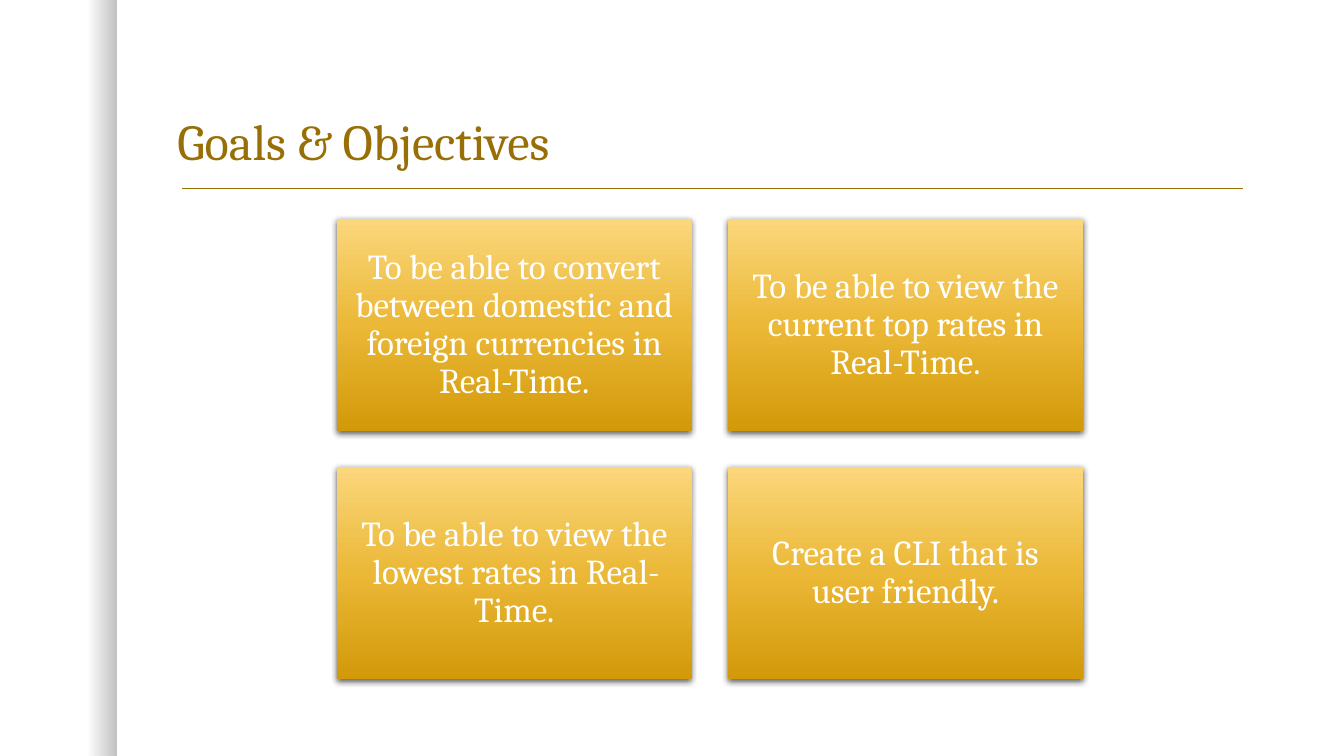
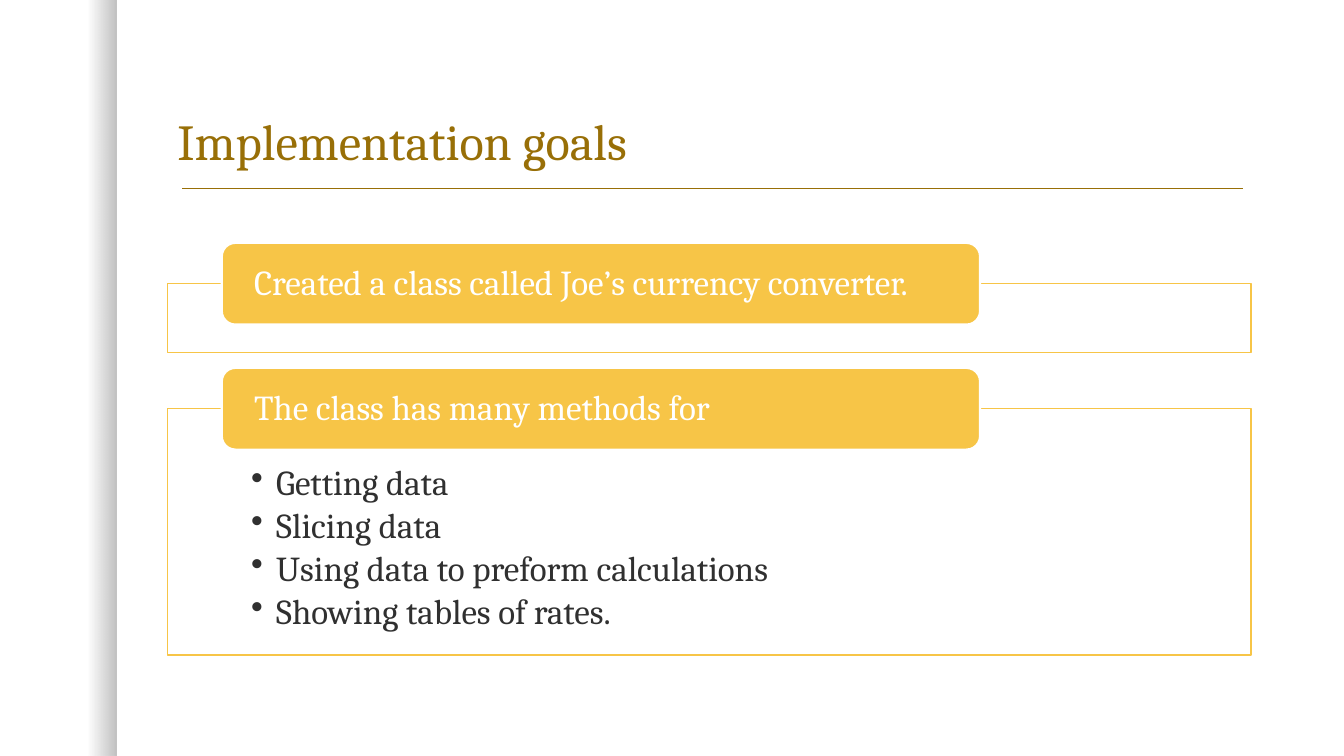
from dataclasses import dataclass

from lxml import etree
from pptx import Presentation
from pptx.dml.color import RGBColor
from pptx.enum.shapes import MSO_CONNECTOR, MSO_SHAPE
from pptx.enum.text import MSO_ANCHOR, MSO_AUTO_SIZE, PP_ALIGN
from pptx.oxml.ns import qn
from pptx.shapes.autoshape import Shape
from pptx.slide import Slide
from pptx.util import Inches, Pt

RECT, ROUND_RECT = MSO_SHAPE.RECTANGLE, MSO_SHAPE.ROUNDED_RECTANGLE
LEFT, CENTER = PP_ALIGN.LEFT, PP_ALIGN.CENTER
TOP, MIDDLE, BOTTOM = MSO_ANCHOR.TOP, MSO_ANCHOR.MIDDLE, MSO_ANCHOR.BOTTOM

COLORS = {
    "title": "986F07",
    "gold": "F7C547",
    "gold_light": "FBD77C",
    "gold_mid": "EBB837",
    "gold_dark": "D29909",
    "white": "FFFFFF",
    "black": "000000",
    "body": "303030",
}
FONT = "Cambria"
SLIDE_W, SLIDE_H = 13.33, 7.5
CONTENT_LEFT, CONTENT_W = 1.66, 10.75


@dataclass(frozen=True)
class Box:
    left: float
    top: float
    width: float
    height: float

    def emu(self) -> tuple[int, int, int, int]:
        return (Inches(self.left), Inches(self.top),
                Inches(self.width), Inches(self.height))


@dataclass(frozen=True)
class Stop:
    position: int
    color: str
    opacity: int = 100


@dataclass(frozen=True)
class Topic:
    heading: str
    top: float
    height: float
    points: tuple[str, ...] = ()


BAND_STOPS = (Stop(75, "black", 0), Stop(100, "black", 25))
CARD_STOPS = (Stop(0, "gold_light"), Stop(50, "gold_mid"), Stop(100, "gold_dark"))

GOALS = (
    "To be able to convert between domestic and foreign currencies in Real-Time.",
    "To be able to view the current top rates in Real-Time.",
    "To be able to view the lowest rates in Real-Time.",
    "Create a CLI that is user friendly.",
)
TOPICS = (
    Topic("Created a class called Joe’s currency converter.", 2.81, 0.69),
    Topic("The class has many methods for", 4.05, 2.45,
          ("Getting data", "Slicing data", "Using data to preform calculations",
           "Showing tables of rates.")),
)


def rgb(color: str) -> RGBColor:
    return RGBColor.from_string(COLORS[color])


def set_opacity(color_element, percent: int) -> None:
    etree.SubElement(color_element, qn("a:alpha"), val=str(percent * 1000))


def add_color(parent, color: str, opacity: int):
    element = etree.SubElement(parent, qn("a:srgbClr"), val=COLORS[color])
    if opacity < 100:
        set_opacity(element, opacity)


def add_box(slide: Slide, box: Box, kind=RECT, fill: str | None = None,
            line: str | None = None, line_width: float = 1) -> Shape:
    shape = slide.shapes.add_shape(kind, *box.emu())
    if fill:
        shape.fill.solid()
        shape.fill.fore_color.rgb = rgb(fill)
    else:
        shape.fill.background()
    if line:
        shape.line.color.rgb = rgb(line)
        shape.line.width = Pt(line_width)
    else:
        shape.line.fill.background()
    shape.shadow.inherit = False
    return shape


def fill_gradient(shape: Shape, stops: tuple[Stop, ...], angle: int) -> None:
    """Swap the empty fill of a shape for a linear gradient."""
    properties = shape.element.spPr
    gradient = etree.Element(qn("a:gradFill"), rotWithShape="1")
    stop_list = etree.SubElement(gradient, qn("a:gsLst"))
    for stop in stops:
        element = etree.SubElement(stop_list, qn("a:gs"), pos=str(stop.position * 1000))
        add_color(element, stop.color, stop.opacity)
    etree.SubElement(gradient, qn("a:lin"), ang=str(angle * 60000), scaled="0")
    properties.replace(properties.find(qn("a:noFill")), gradient)


def add_shadow(shape: Shape) -> None:
    effects = shape.element.spPr.find(qn("a:effectLst"))
    shadow = etree.SubElement(
        effects, qn("a:outerShdw"), blurRad=str(Pt(4.5)), dist=str(Pt(1.5)),
        dir=str(90 * 60000), algn="ctr", rotWithShape="0")
    add_color(shadow, "black", 63)


def write_text(shape: Shape, *lines: str, size: float = 25, color: str = "white",
               align=LEFT, anchor=MIDDLE, space_after: float = 0,
               insets: tuple[float, float, float, float] = (0.1, 0.1, 0.1, 0.1),
               bullet: str | None = None) -> None:
    frame = shape.text_frame
    frame.word_wrap = True
    frame.auto_size = MSO_AUTO_SIZE.NONE
    frame.vertical_anchor = anchor
    (frame.margin_left, frame.margin_top,
     frame.margin_right, frame.margin_bottom) = map(Inches, insets)
    for index, line in enumerate(lines):
        paragraph = frame.add_paragraph() if index else frame.paragraphs[0]
        paragraph.alignment = align
        paragraph.line_spacing = 0.9
        paragraph.space_after = Pt(space_after)
        if bullet:
            properties = paragraph._p.get_or_add_pPr()
            properties.set("marL", str(Inches(0.25)))
            properties.set("indent", str(-Inches(0.25)))
            etree.SubElement(properties, qn("a:buChar"), char=bullet)
        run = paragraph.add_run()
        run.text = line
        run.font.name = FONT
        run.font.size = Pt(size)
        run.font.color.rgb = rgb(color)


def add_titled_slide(deck, heading: str) -> Slide:
    slide = deck.slides.add_slide(deck.slide_layouts[5])

    # Shaded band at the left edge
    band = add_box(slide, Box(0, 0, 1.16, SLIDE_H))
    fill_gradient(band, BAND_STOPS, angle=0)

    # Rule under the title
    rule = slide.shapes.add_connector(
        MSO_CONNECTOR.STRAIGHT, Inches(1.81), Inches(1.87), Inches(12.33), Inches(1.87))
    rule.line.color.rgb = rgb("title")
    rule.line.width = Pt(1)
    etree.SubElement(rule._element.spPr, qn("a:effectLst"))

    # Title
    title = slide.shapes.title
    title.left, title.top, title.width, title.height = Box(
        CONTENT_LEFT, 0.42, CONTENT_W, 1.33).emu()
    write_text(title, heading, size=36, color="title", anchor=BOTTOM,
               insets=(0.1, 0.05, 0.1, 0.05))
    return slide


def add_goal_cards(slide: Slide) -> None:
    width, height, gap_x, gap_y = 3.52, 2.11, 0.36, 0.35
    for index, goal in enumerate(GOALS):
        row, column = divmod(index, 2)
        card = add_box(slide, Box(3.34 + column * (width + gap_x),
                                  2.17 + row * (height + gap_y), width, height))
        fill_gradient(card, CARD_STOPS, angle=90)
        add_shadow(card)
        write_text(card, goal, align=CENTER)


def add_topic(slide: Slide, topic: Topic) -> None:
    # Outlined panel with its points
    panel = add_box(slide, Box(CONTENT_LEFT, topic.top, CONTENT_W, topic.height),
                    fill="white", line="gold")
    set_opacity(panel.element.spPr.find(qn("a:solidFill"))[0], 90)
    if topic.points:
        write_text(panel, *topic.points, color="body", anchor=TOP, space_after=3.75,
                   insets=(0.83, 0.57, 0.83, 0.19), bullet="•")

    # Heading tab over the panel's top edge
    tab = add_box(slide, Box(CONTENT_LEFT + 0.54, topic.top - 0.4, 7.52, 0.81),
                  ROUND_RECT, fill="gold", line="white", line_width=1.5)
    write_text(tab, topic.heading, insets=(0.28, 0, 0.28, 0))


def main() -> None:
    deck = Presentation()
    deck.slide_width, deck.slide_height = Inches(SLIDE_W), Inches(SLIDE_H)

    add_goal_cards(add_titled_slide(deck, "Goals & Objectives"))

    implementation = add_titled_slide(deck, "Implementation goals")
    for topic in TOPICS:
        add_topic(implementation, topic)

    deck.save("out.pptx")


if __name__ == "__main__":
    main()
